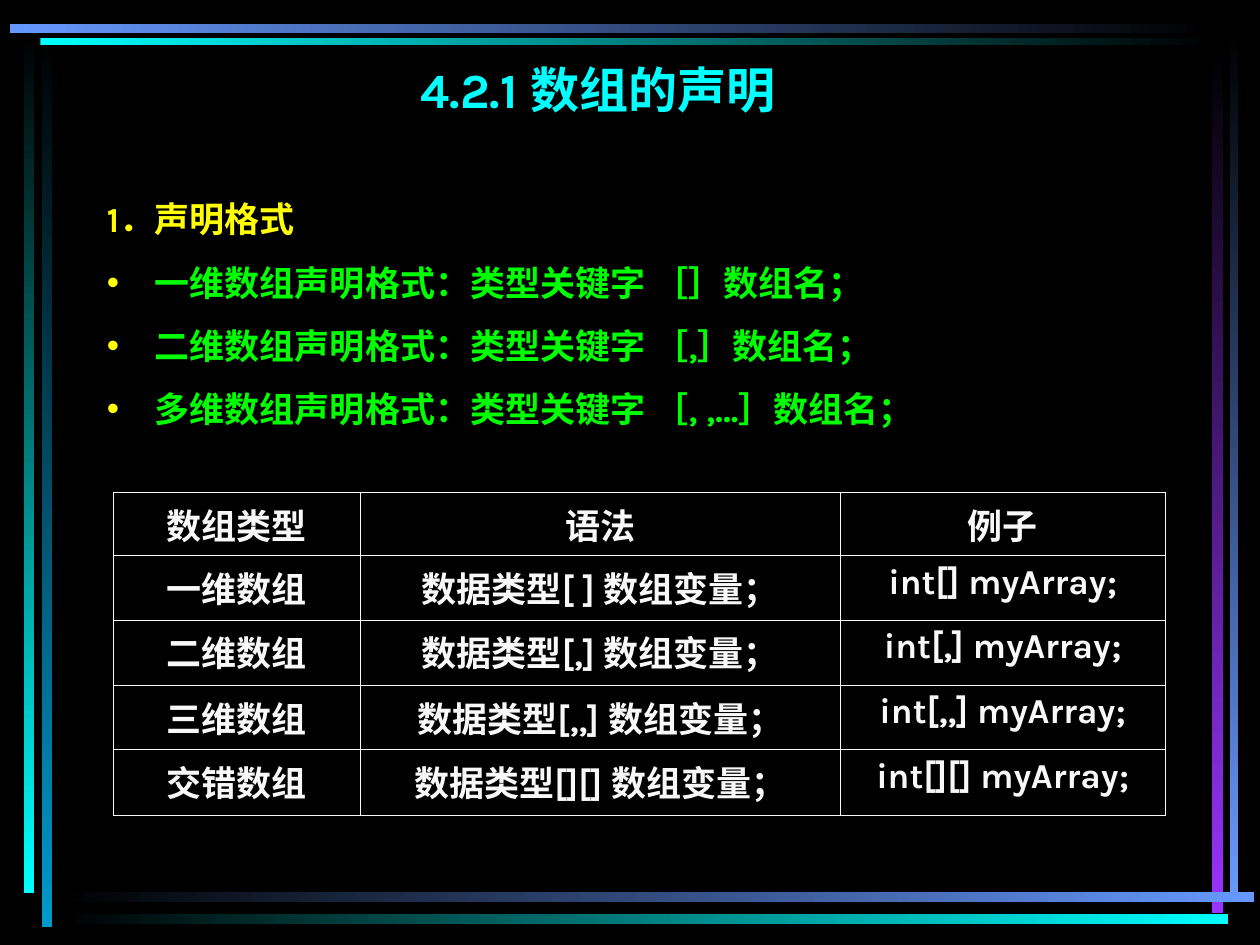
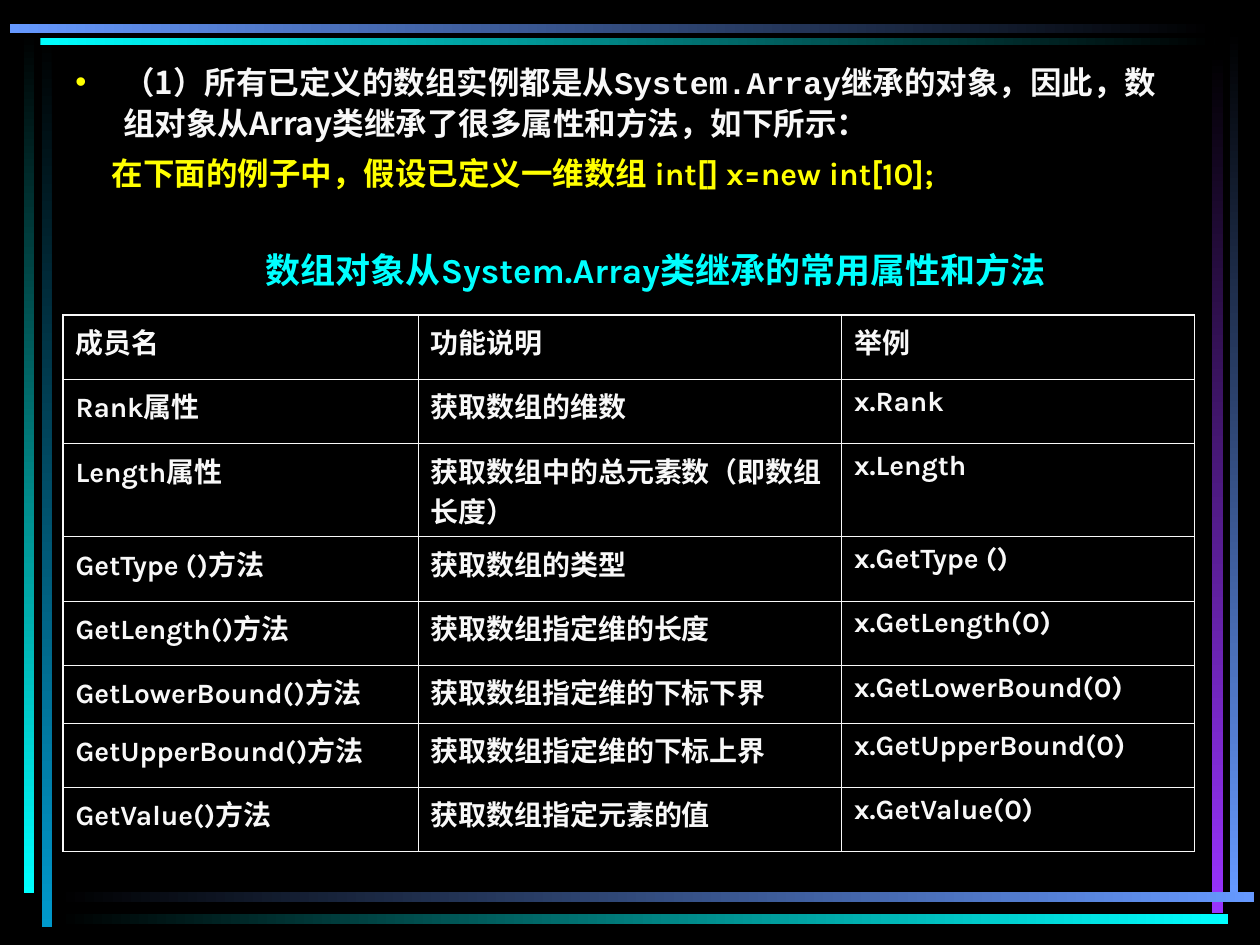
import pptx
import pptx.dml.color
import pptx.enum.shapes
import pptx.enum.text
import pptx.oxml.ns
import pptx.util
import lxml.etree

Inches = pptx.util.Inches
Pt = pptx.util.Pt
ALIGN = pptx.enum.text.PP_ALIGN

COLOURS = {
    "black": "000000",
    "white": "F8F8F8",
    "cyan": "00FFFF",
    "blue": "6699FF",
    "teal": "0099CC",
    "purple": "9933FF",
    "yellow": "FFFF00",
    "green": "00FF00",
}
LATIN = "Karla"
CHINESE = "Noto Sans CJK SC"
CODE = "Courier New"
HANGING = 0.38
THIN, THICK = 0.45, 1.08

FRAME_BARS = [
    (0.33, 0.28, 0.08, 7.08, "black", "teal"),
    (0.19, 0.25, 0.08, 6.84, "black", "cyan"),
    (9.76, 0.24, 0.07, 6.84, "black", "blue"),
    (9.62, 0.42, 0.09, 6.83, "black", "purple"),
    (0.45, 7.08, 9.5, 0.08, "black", "blue"),
    (0.45, 7.25, 9.3, 0.08, "black", "cyan"),
    (0.32, 0.3, 9.32, 0.06, "cyan", "black"),
    (0.08, 0.19, 9.56, 0.07, "blue", "black"),
]

DECLARATIONS = [
    "一维数组声明格式：类型关键字 ［］数组名；",
    "二维数组声明格式：类型关键字 ［,］数组名；",
    "多维数组声明格式：类型关键字 ［, ,…］数组名；",
]

ARRAY_SYNTAX = [
    ("数组类型", "语法", "例子"),
    ("一维数组", "数据类型[ ] 数组变量；", "int[] myArray;"),
    ("二维数组", "数据类型[,] 数组变量；", "int[,] myArray;"),
    ("三维数组", "数据类型[,,] 数组变量；", "int[,,] myArray;"),
    ("交错数组", "数据类型[][] 数组变量；", "int[][] myArray;"),
]

ARRAY_MEMBERS = [
    ("成员名", "功能说明", "举例"),
    ("Rank属性", "获取数组的维数", "x.Rank"),
    ("Length属性", "获取数组中的总元素数（即数组长度）", "x.Length"),
    ("GetType ()方法", "获取数组的类型", "x.GetType ()"),
    ("GetLength()方法", "获取数组指定维的长度", "x.GetLength(0)"),
    ("GetLowerBound()方法", "获取数组指定维的下标下界", "x.GetLowerBound(0)"),
    ("GetUpperBound()方法", "获取数组指定维的下标上界", "x.GetUpperBound(0)"),
    ("GetValue()方法", "获取数组指定元素的值", "x.GetValue(0)"),
]


def rgb(colour):
    return pptx.dml.color.RGBColor.from_string(COLOURS[colour])


def assign(target, values):
    for name, value in values.items():
        setattr(target, name, value)


def child(parent, tag, **attributes):
    return lxml.etree.SubElement(parent, pptx.oxml.ns.qn(tag), attributes)


def add_run(paragraph, text, size, colour, latin=LATIN):
    run = paragraph.add_run()
    run.text = text
    assign(run.font, {"size": Pt(size), "bold": True, "name": latin})
    run.font.color.rgb = rgb(colour)
    child(run.font._element, "a:ea", typeface=CHINESE)


def set_indent(paragraph, left, first=0.0):
    properties = paragraph._p.get_or_add_pPr()
    properties.set("marL", str(Inches(left)))
    properties.set("indent", str(Inches(first)))
    return properties


def add_bullet(paragraph):
    properties = set_indent(paragraph, HANGING, -HANGING)
    child(child(properties, "a:buClr"), "a:srgbClr", val=COLOURS["yellow"])
    child(properties, "a:buFont", typeface="Arial")
    child(properties, "a:buChar", char="•")


def add_frame_bar(slide, left, top, width, height, start, end):
    bar = slide.shapes.add_shape(
        pptx.enum.shapes.MSO_SHAPE.RECTANGLE,
        Inches(left), Inches(top), Inches(width), Inches(height))
    bar.shadow.inherit = False
    bar.line.fill.background()
    bar.fill.gradient()
    bar.fill.gradient_angle = 270 if height > width else 0
    for stop, colour in zip(bar.fill.gradient_stops, (start, end)):
        stop.color.rgb = rgb(colour)


def add_framed_slide(presentation, title, place, size):
    slide = presentation.slides.add_slide(presentation.slide_layouts[5])
    for bar in FRAME_BARS:
        add_frame_bar(slide, *bar)
    heading = slide.shapes.title
    assign(heading, dict(zip(("left", "top", "width", "height"), map(Inches, place))))
    assign(heading.text_frame, {
        "word_wrap": True,
        "auto_size": pptx.enum.text.MSO_AUTO_SIZE.NONE,
        "vertical_anchor": pptx.enum.text.MSO_ANCHOR.TOP,
    })
    paragraph = heading.text_frame.paragraphs[0]
    paragraph.alignment = ALIGN.CENTER
    add_run(paragraph, title, size, "cyan")
    return slide


def add_body(slide, place, count, line_spacing, space_before):
    frame = slide.shapes.add_textbox(*map(Inches, place)).text_frame
    frame.word_wrap = True
    for index in range(count):
        paragraph = frame.add_paragraph() if index else frame.paragraphs[0]
        assign(paragraph, {
            "line_spacing": line_spacing,
            "space_before": Pt(space_before if index else 0),
        })
    return frame.paragraphs


def add_border(cell, side, width):
    line = child(cell._tc.get_or_add_tcPr(), "a:ln" + side, w=str(Pt(width)))
    child(child(line, "a:solidFill"), "a:srgbClr", val=COLOURS["white"])


def add_grid(slide, rows, left, top, widths, heights, size, alignment, outer):
    grid = slide.shapes.add_table(
        len(rows), len(widths), Inches(left), Inches(top),
        Inches(sum(widths)), Inches(sum(heights))).table
    assign(grid, {"first_row": False, "horz_banding": False})
    for column, width in zip(grid.columns, widths):
        column.width = Inches(width)
    for row, height in zip(grid.rows, heights):
        row.height = Inches(height)
    for r, texts in enumerate(rows):
        for c, text in enumerate(texts):
            cell = grid.cell(r, c)
            on_edge = {
                "L": c == 0, "R": c == len(widths) - 1,
                "T": r == 0, "B": r == len(rows) - 1,
            }
            for side, edge in on_edge.items():
                add_border(cell, side, outer if edge else THIN)
            cell.fill.background()
            paragraph = cell.text_frame.paragraphs[0]
            paragraph.alignment = alignment
            add_run(paragraph, text, size, "white")


def build_declaration_slide(presentation):
    slide = add_framed_slide(
        presentation, "4.2.1 数组的声明", (0.37, 0.42, 8.75, 0.92), 28)
    heading, *formats = add_body(slide, (0.75, 1.42, 8.9, 2.18), 4, 1.3, 5)
    set_indent(heading, HANGING, -HANGING)
    add_run(heading, "1．声明格式", 20, "yellow")
    for paragraph, declaration in zip(formats, DECLARATIONS):
        add_bullet(paragraph)
        add_run(paragraph, declaration, 20, "green")
    add_grid(slide, ARRAY_SYNTAX, 0.9, 3.91, (1.96, 3.81, 2.58),
             (0.5, 0.51, 0.52, 0.51, 0.52), 20, ALIGN.CENTER, THIN)


def build_members_slide(presentation):
    slide = add_framed_slide(
        presentation, "数组对象从System.Array类继承的常用属性和方法",
        (0.83, 1.92, 8.75, 0.33), 20)
    inheritance, example = add_body(slide, (0.5, 0.42, 9, 1.21), 2, 1.1, 4.5)
    add_bullet(inheritance)
    for text, latin in (
        ("（1）所有已定义的数组实例都是从", CHINESE),
        ("System.Array", CODE),
        ("继承的对象，因此，数组对象从Array类继承了很多属性和方法，如下所示：", CHINESE),
    ):
        add_run(inheritance, text, 18, "white", latin)
    set_indent(example, 0.29)
    add_run(example, "在下面的例子中，假设已定义一维数组 int[] x=new int[10];", 18, "yellow")
    add_grid(slide, ARRAY_MEMBERS, 0.5, 2.5, (2.82, 3.36, 2.8),
             (0.51, 0.51, 0.74, 0.51, 0.51, 0.46, 0.51, 0.51),
             16, ALIGN.LEFT, THICK)


def main():
    presentation = pptx.Presentation()
    assign(presentation, {"slide_width": Inches(10), "slide_height": Inches(7.5)})
    backdrop = presentation.slide_master.background.fill
    backdrop.solid()
    backdrop.fore_color.rgb = rgb("black")
    build_declaration_slide(presentation)
    build_members_slide(presentation)
    presentation.save("out.pptx")


if __name__ == "__main__":
    main()
